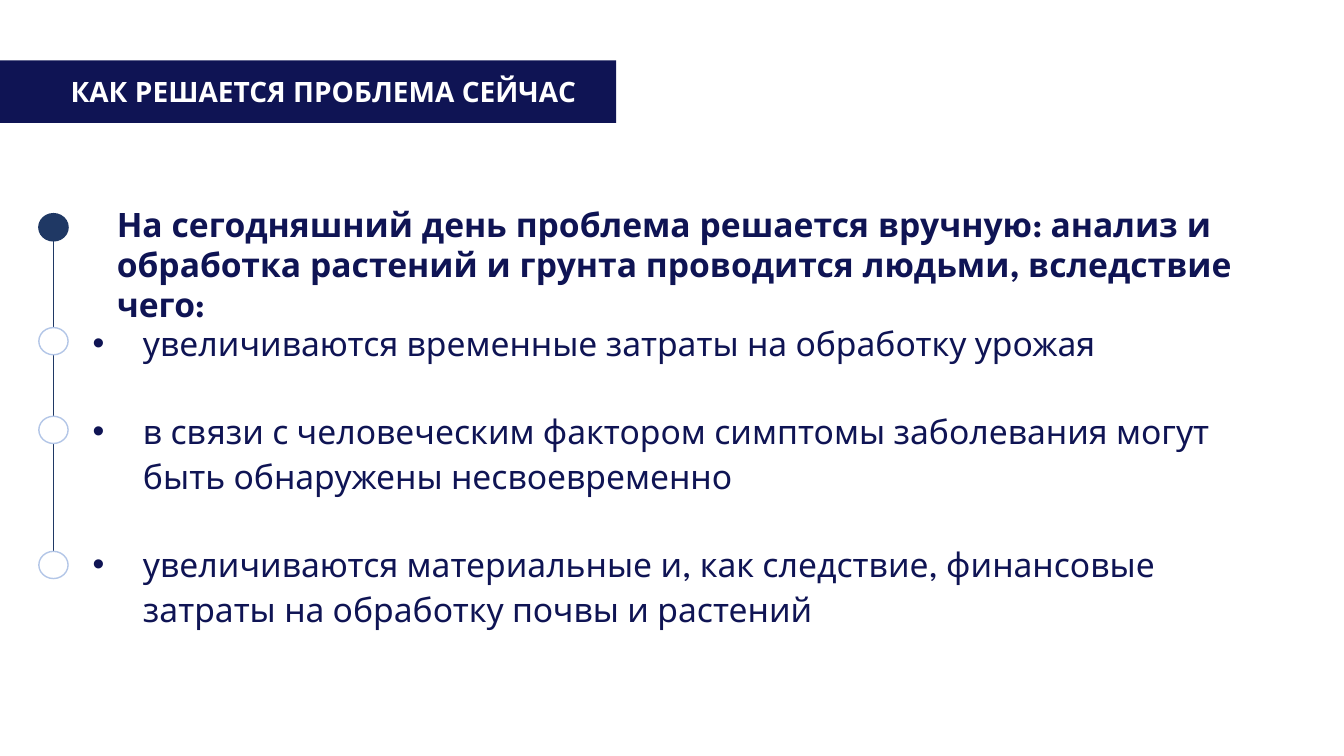
"""Build a slide on how the problem is solved today."""
from dataclasses import dataclass

from lxml.etree import SubElement
from pptx import Presentation
from pptx.dml.color import RGBColor
from pptx.enum.shapes import MSO_CONNECTOR, MSO_SHAPE
from pptx.enum.text import MSO_ANCHOR, MSO_AUTO_SIZE, PP_ALIGN
from pptx.oxml.ns import qn
from pptx.util import Inches, Pt

LINE, OVAL = MSO_CONNECTOR.STRAIGHT, MSO_SHAPE.OVAL
TOP, MIDDLE = MSO_ANCHOR.TOP, MSO_ANCHOR.MIDDLE
FIXED, GROW = MSO_AUTO_SIZE.NONE, MSO_AUTO_SIZE.SHAPE_TO_FIT_TEXT
LEFT = PP_ALIGN.LEFT
FONT = "League Spartan"
COLOR = {"navy": "0F1454", "blue": "1F3864", "pale": "B3C6E7", "white": "FFFFFF"}
AXIS, DOT_W, DOT_H = 0.53, 0.29, 0.27

TITLE = "КАК РЕШАЕТСЯ ПРОБЛЕМА СЕЙЧАС"
LEAD = ("На сегодняшний день проблема решается вручную: анализ и обработка растений "
        "и грунта проводится людьми, вследствие чего:")
ITEMS = [
    "увеличиваются временные затраты на обработку урожая",
    "в связи с человеческим фактором симптомы заболевания могут быть "
    "обнаружены несвоевременно",
    "увеличиваются материальные и, как следствие, финансовые затраты "
    "на обработку почвы и растений",
]


@dataclass
class Dot:
    """A marker on the timeline."""
    top: float
    fill: str = "white"
    line: str = "pale"


DOTS = [Dot(2.12, "blue", "blue"), Dot(3.25), Dot(4.13), Dot(5.47)]


def rgb(name: str) -> RGBColor:
    """Look up a colour by name."""
    return RGBColor.from_string(COLOR[name])


def place(shape, left: float, top: float, width: float, height: float) -> None:
    """Set the position and size of a shape in inches."""
    shape.left, shape.top = Inches(left), Inches(top)
    shape.width, shape.height = Inches(width), Inches(height)


def add_mark(props, color: str) -> None:
    """Add a coloured round bullet to paragraph properties."""
    tint = SubElement(props, qn("a:buClr"))
    SubElement(tint, qn("a:srgbClr"), val=COLOR[color])
    SubElement(props, qn("a:buFont"), typeface="Arial")
    SubElement(props, qn("a:buChar"), char="•")


def write(shape, texts: list[str], *, size: int = 24, color: str = "navy",
          bold: bool = False, anchor=TOP, fit=GROW, margin: float = 0,
          hang: float = 0, mark: bool = False, pitch: float = 1.0,
          gap: float = 0) -> None:
    """Fill a shape with formatted paragraphs."""
    frame = shape.text_frame
    frame.word_wrap, frame.auto_size = True, fit
    frame.vertical_anchor = anchor
    for index, text in enumerate(texts):
        para = frame.add_paragraph() if index else frame.paragraphs[0]
        props = para._p.get_or_add_pPr()
        props.set("marL", str(Inches(margin)))
        props.set("indent", str(Inches(-hang)))
        if mark:
            add_mark(props, color)
        para.alignment, para.line_spacing = LEFT, pitch
        if index and gap:
            para.space_before = Pt(gap)
        run = para.add_run()
        run.text = text
        font = run.font
        font.name, font.size, font.bold = FONT, Pt(size), bold
        font.color.rgb = rgb(color)


def add_head(slide) -> None:
    """Shape the title placeholder as a rounded banner."""
    title = slide.shapes.title
    place(title, -0.13, 0.6, 6.24, 0.62)
    form = SubElement(title._element.spPr, qn("a:prstGeom"), prst="roundRect")
    SubElement(form, qn("a:avLst"))
    title.fill.solid()
    title.fill.fore_color.rgb = rgb("navy")
    write(title, [TITLE], size=20, color="white", bold=True,
          anchor=MIDDLE, fit=FIXED, margin=0.73)


def add_axis(slide) -> None:
    """Draw the timeline from the first dot to the last."""
    axis = slide.shapes.add_connector(
        LINE, Inches(AXIS), Inches(DOTS[0].top + DOT_H),
        Inches(AXIS), Inches(DOTS[-1].top))
    axis.line.color.rgb, axis.line.width = rgb("blue"), Pt(0.75)
    SubElement(axis._element.spPr, qn("a:effectLst"))


def add_dot(slide, dot: Dot) -> None:
    """Draw one marker centred on the timeline."""
    shape = slide.shapes.add_shape(
        OVAL, Inches(AXIS - DOT_W / 2), Inches(dot.top), Inches(DOT_W), Inches(DOT_H))
    shape.shadow.inherit = False
    shape.fill.solid()
    shape.fill.fore_color.rgb = rgb(dot.fill)
    shape.line.color.rgb, shape.line.width = rgb(dot.line), Pt(1)


def add_box(slide, left: float, top: float, width: float, height: float):
    """Add an empty text box measured in inches."""
    return slide.shapes.add_textbox(
        Inches(left), Inches(top), Inches(width), Inches(height))


def main() -> None:
    """Build and save the slide."""
    deck = Presentation()
    deck.slide_width, deck.slide_height = Inches(13.33), Inches(7.5)
    slide = deck.slides.add_slide(deck.slide_layouts[5])
    add_head(slide)
    write(add_box(slide, 0.82, 3.11, 12.04, 3.21), ITEMS,
          margin=0.5, hang=0.5, mark=True, pitch=1.1, gap=31.7)
    add_axis(slide)
    for dot in DOTS:
        add_dot(slide, dot)
    write(add_box(slide, 1.06, 1.97, 12.08, 1.31), [LEAD], bold=True)
    deck.save("out.pptx")


if __name__ == "__main__":
    main()
